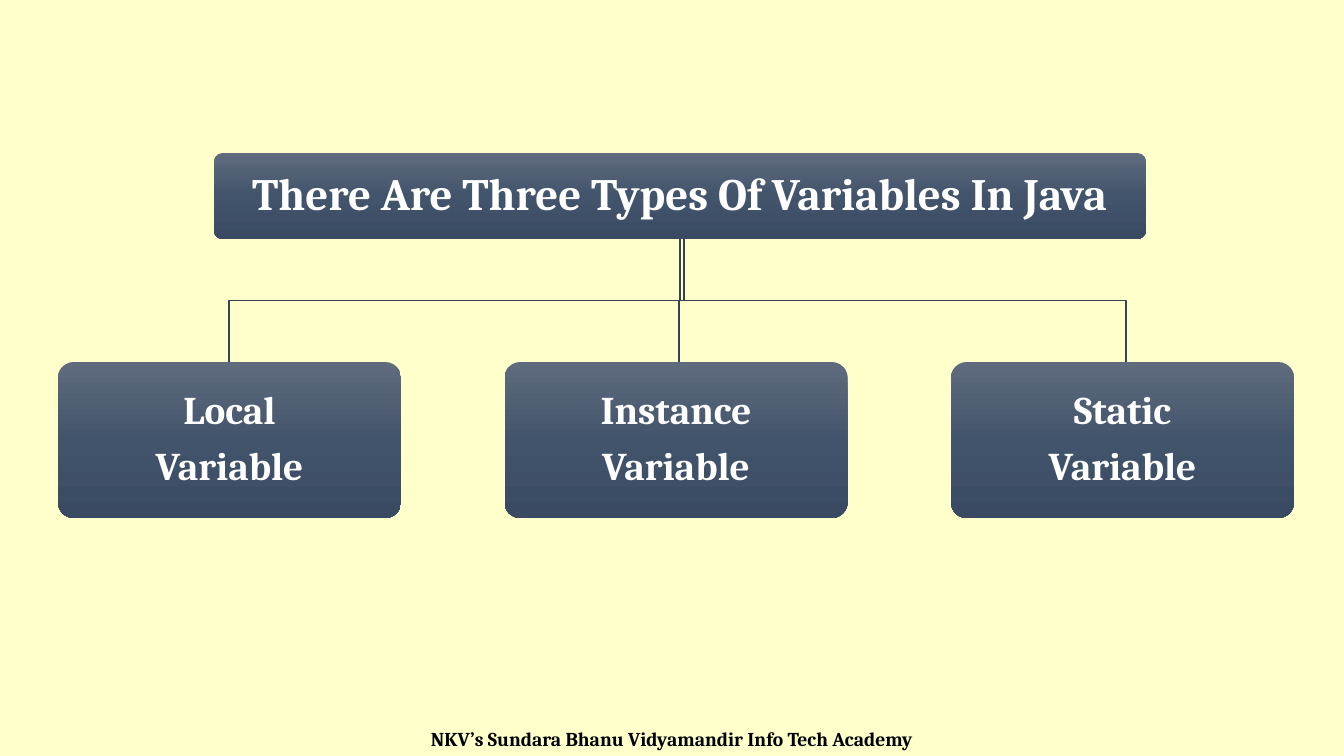
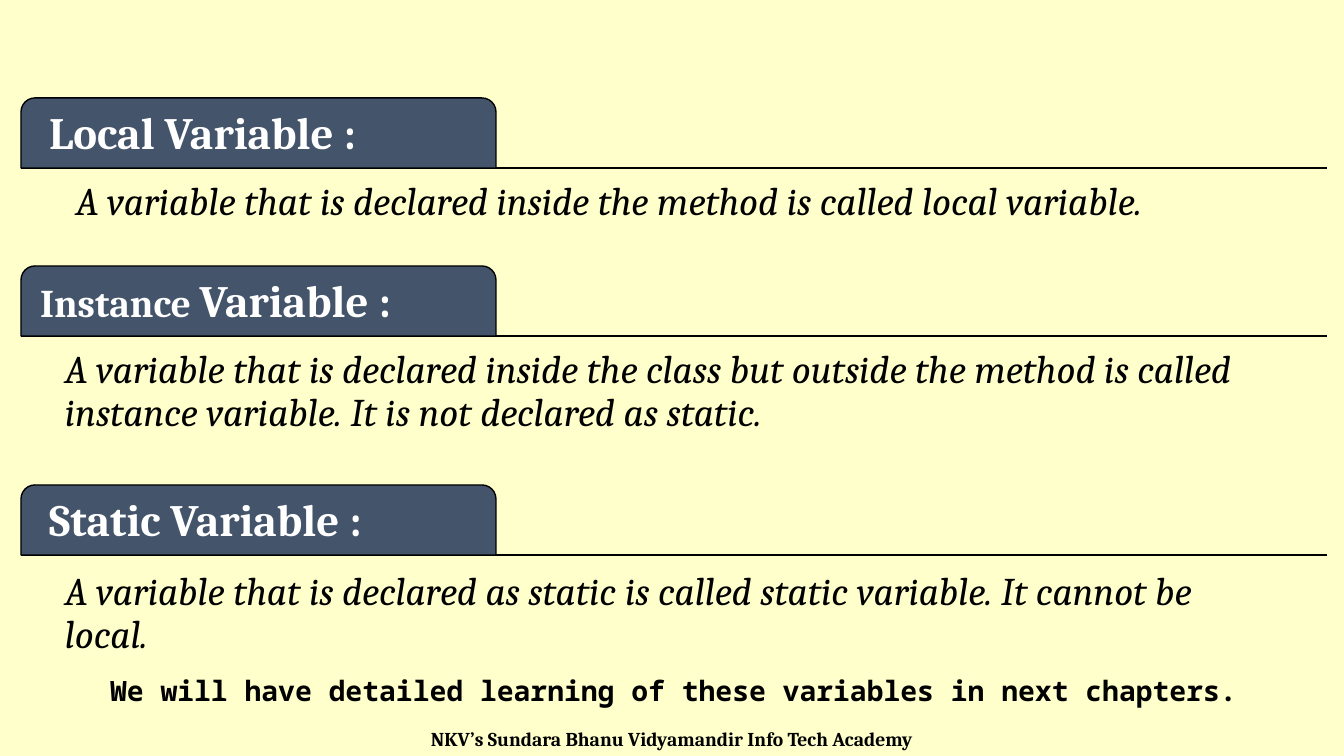
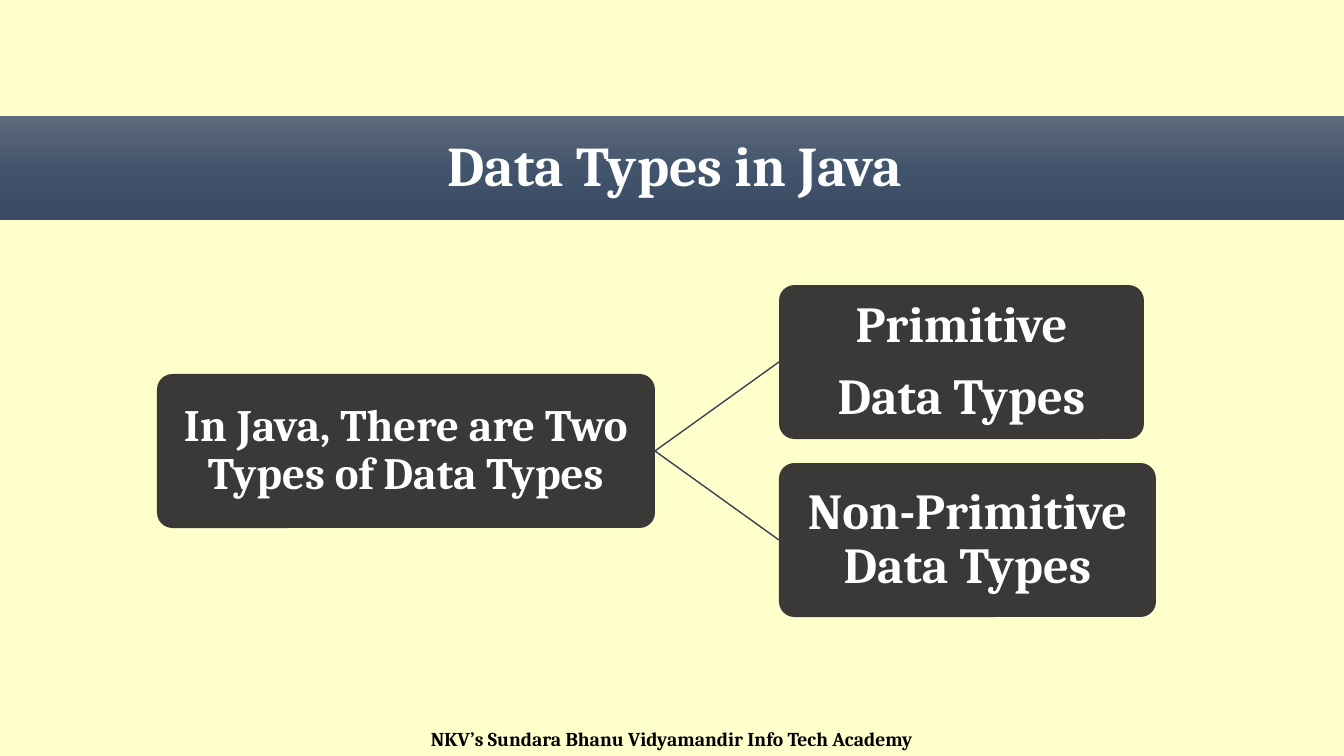
from copy import deepcopy

from lxml import etree
from pptx import Presentation
from pptx import util as u
from pptx.dml.color import RGBColor
from pptx.enum import shapes, text
from pptx.oxml import ns

COLOURS = {
    "page": "FFFFCC",
    "ink": "000000",
    "white": "FFFFFF",
    "slate": "44546A",
    "branch": "364355",
    "charcoal": "3B3838",
}
SLATE_GRADIENT = [(0, "606B7D"), (0.5, "42546C"), (1, "394A62")]
SERIF = "Cambria"
MONO = "Noto Sans Mono"
FOOTER = "NKV’s Sundara Bhanu Vidyamandir Info Tech Academy"
WIDTH, HEIGHT = 1344, 756
SCALE = 914400 / 100.8


def px(length):
    return u.Emu(round(length * SCALE))


def colour(name):
    return RGBColor.from_string(COLOURS[name])


class Slides:
    def __init__(self):
        self.deck = Presentation()
        self.deck.slide_width = px(WIDTH)
        self.deck.slide_height = px(HEIGHT)
        background = self.deck.slide_master.background.fill
        background.solid()
        background.fore_color.rgb = colour("page")
        self.page = None

    def new_page(self):
        self.page = self.deck.slides.add_slide(self.deck.slide_layouts[6])
        self.label(0, 722, WIDTH, 34, FOOTER, 14, bold=True, centred=True, tight=False)

    def fill_text(self, box, paragraphs, tint="white", font=SERIF, bold=True, italic=False,
                  centred=True, tight=True, middle=True, insets=(10, 5, 10, 5)):
        """Fill a box with paragraphs, each a list of (words, size) runs."""
        frame = box.text_frame
        frame.word_wrap = True
        frame.vertical_anchor = text.MSO_ANCHOR.MIDDLE if middle else text.MSO_ANCHOR.TOP
        frame.margin_left, frame.margin_top, frame.margin_right, frame.margin_bottom = map(px, insets)
        for index, runs in enumerate(paragraphs):
            para = frame.add_paragraph() if index else frame.paragraphs[0]
            para.alignment = text.PP_ALIGN.CENTER if centred else text.PP_ALIGN.LEFT
            if tight:
                para.line_spacing = 0.9
                para.space_after = u.Pt(0.35 * runs[-1][1])
            for words, size in runs:
                span = para.add_run()
                span.text = words
                span.font.name = font
                span.font.size = u.Pt(size)
                span.font.bold = bold
                span.font.italic = italic
                span.font.color.rgb = colour(tint)

    def label(self, left, top, width, height, words, size, **style):
        box = self.page.shapes.add_textbox(px(left), px(top), px(width), px(height))
        self.fill_text(box, [[(words, size)]], tint="ink", middle=False, **style)

    def panel(self, kind, left, top, width, height, fill=None, corner=None):
        """Add a preset shape; without a named fill it gets the slate gradient."""
        box = self.page.shapes.add_shape(kind, px(left), px(top), px(width), px(height))
        box.shadow.inherit = False
        box.line.fill.background()
        if corner is not None:
            box.adjustments[0] = corner
        if fill:
            box.fill.solid()
            box.fill.fore_color.rgb = colour(fill)
        else:
            box.fill.gradient()
            box.fill.gradient_angle = 270
            stops = box._element.spPr.find(ns.qn("a:gradFill")).find(ns.qn("a:gsLst"))
            stops.insert(1, deepcopy(stops[0]))
            for stop, (position, tone) in zip(box.fill.gradient_stops, SLATE_GRADIENT):
                stop.position = position
                stop.color.rgb = RGBColor.from_string(tone)
        return box

    def card(self, left, top, width, height, lines, size, fill=None, inset=16):
        box = self.panel(shapes.MSO_SHAPE.ROUNDED_RECTANGLE, left, top, width, height, fill, 0.1)
        self.fill_text(box, [[(line, size)] for line in lines], insets=(inset,) * 4)
        return box

    def band(self, top, height, words, size):
        box = self.panel(shapes.MSO_SHAPE.RECTANGLE, -13, top, WIDTH + 32, height)
        self.fill_text(box, [[(words, size)]], insets=(16,) * 4)

    def line(self, start, end, tint):
        line = self.page.shapes.add_connector(
            shapes.MSO_CONNECTOR.STRAIGHT, *map(px, (*start, *end)))
        line.line.color.rgb = colour(tint)
        line.line.width = u.Pt(1)
        etree.SubElement(line._element.spPr, ns.qn("a:effectLst"))
        return line

    def elbow(self, start, end):
        """Draw a vertical, horizontal, vertical branch."""
        (left, top), (right, bottom) = start, end
        middle = (top + bottom) / 2
        builder = self.page.shapes.build_freeform(px(left), px(top))
        builder.add_line_segments(
            [(px(x), px(y)) for x, y in ((left, middle), (right, middle), end)], close=False)
        branch = builder.convert_to_shape()
        branch.shadow.inherit = False
        branch.fill.background()
        branch.line.color.rgb = colour("branch")
        branch.line.width = u.Pt(1)

    def tab(self, top, runs, indent):
        """Add a heading tab standing on a rule."""
        height = 70
        self.line((21, top + height), (1327, top + height), "ink")
        box = self.panel(shapes.MSO_SHAPE.ROUND_2_SAME_RECTANGLE, 21, top, 475, height, "slate", 0.2)
        box.line.color.rgb = colour("ink")
        box.line.width = u.Pt(1)
        self.fill_text(box, [runs], centred=False, insets=(indent, 6, 10, 6))


def variable_types(slides):
    slides.new_page()
    root_bottom, child_top = 239, 362
    slides.card(214, 153, 932, root_bottom - 153, ["There Are Three Types Of Variables In Java"], 32)
    for start, end in ((680, 229), (684, 679), (684, 1126)):
        slides.elbow((start, root_bottom), (end, child_top))
    for index, name in enumerate(("Local", "Instance", "Static")):
        slides.card(58 + 446.5 * index, child_top, 343, 156, [name, "Variable"], 28)


def variable_definitions(slides):
    slides.new_page()
    sections = [
        (98, [("Local Variable :", 32)], 24, 66, 177,
         "A variable that is declared inside the method is called local variable."),
        (266, [("Instance ", 28), ("Variable :", 32)], 15, 55, 345,
         "A variable that is declared inside the class but outside the method is called "
         "instance variable. It is not declared as static."),
        (485, [("Static Variable :", 32)], 24, 55, 567,
         "A variable that is declared as static is called static variable. It cannot be local."),
    ]
    for tab_top, heading, indent, left, top, definition in sections:
        slides.tab(tab_top, heading, indent)
        slides.label(left, top, 1237, 96 if len(definition) > 75 else 53, definition, 28,
                     bold=False, italic=True, centred=False)
    slides.label(2, 668, WIDTH, 44,
                 "We will have detailed learning of these variables in next chapters.", 20,
                 font=MONO, tight=False)


def data_types(slides):
    slides.new_page()
    slides.band(116, 104, "Data Types in Java", 40)
    height = 154
    root = slides.card(157, 374, 498, height, ["In Java, There are Two Types of Data Types"],
                       32, "charcoal", 2)
    children = [
        (285, 365, ["Primitive", "Data Types"]),
        (463, 377, ["Non-Primitive Data Types"]),
    ]
    for top, width, lines in children:
        child = slides.card(779, top, width, height, lines, 36, "charcoal", 3)
        branch = slides.line((655, 451), (779, top + height / 2), "branch")
        branch.begin_connect(root, 3)
        branch.end_connect(child, 1)


def main():
    slides = Slides()
    variable_types(slides)
    variable_definitions(slides)
    data_types(slides)
    slides.deck.save("out.pptx")


if __name__ == "__main__":
    main()
